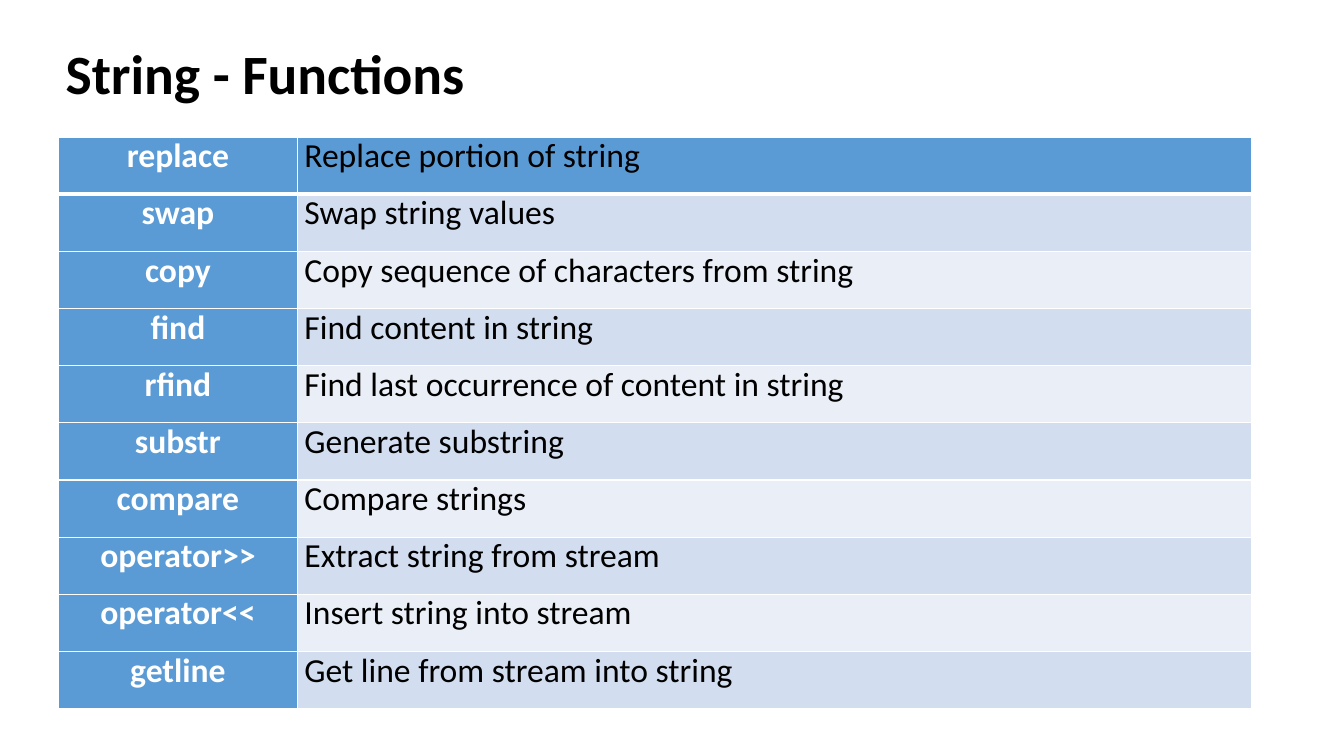
"""Build a slide with a table of string functions."""
from dataclasses import dataclass

from lxml.etree import SubElement
from pptx import Presentation
from pptx.dml.color import RGBColor
from pptx.enum.text import MSO_ANCHOR, PP_ALIGN
from pptx.oxml.ns import qn
from pptx.slide import Slide
from pptx.table import _Cell
from pptx.text.text import TextFrame
from pptx.util import Emu, Inches, Pt

WIDTH, HEIGHT = Inches(13.33), Inches(7.5)
FONT = "Calibri"
COLORS = {
    "text": "000000",
    "white": "FFFFFF",
    "accent": "5B9BD5",
    "odd": "D2DEEF",
    "even": "EAEFF7",
}


@dataclass(frozen=True)
class Function:
    name: str
    purpose: str


FUNCTIONS = [
    Function("replace", "Replace portion of string"),
    Function("swap", "Swap string values"),
    Function("copy", "Copy sequence of characters from string"),
    Function("find", "Find content in string"),
    Function("rfind", "Find last occurrence of content in string"),
    Function("substr", "Generate substring"),
    Function("compare", "Compare strings"),
    Function("operator>>", "Extract string from stream"),
    Function("operator<<", "Insert string into stream"),
    Function("getline", "Get line from stream into string"),
]


def across(percent: float) -> Emu:
    return Emu(round(WIDTH * percent / 100))


def down(percent: float) -> Emu:
    return Emu(round(HEIGHT * percent / 100))


def write(frame: TextFrame, text: str, *, size: float, color: str, bold: bool,
          align: PP_ALIGN, spacing: float | Pt) -> None:
    para = frame.paragraphs[0]
    para.alignment = align
    para.line_spacing = spacing
    span = para.add_run()
    span.text = text
    span.font.name = FONT
    span.font.size = Pt(size)
    span.font.bold = bold
    span.font.color.rgb = RGBColor.from_string(COLORS[color])


def add_border(cell: _Cell, side: str, points: float) -> None:
    properties = cell._tc.get_or_add_tcPr()
    line = SubElement(properties, qn(f"a:ln{side}"), w=str(Pt(points)))
    fill = SubElement(line, qn("a:solidFill"))
    SubElement(fill, qn("a:srgbClr"), val=COLORS["white"])


def format_cell(cell: _Cell, row: int, fill: str) -> None:
    cell.vertical_anchor = MSO_ANCHOR.MIDDLE
    cell.margin_left = cell.margin_right = Inches(0.07)
    cell.margin_top = cell.margin_bottom = 0
    borders = {"L": 1, "R": 1, "T": 3 if row == 1 else 1, "B": 3 if row == 0 else 1}
    for side, points in borders.items():
        add_border(cell, side, points)
    cell.fill.solid()
    cell.fill.fore_color.rgb = RGBColor.from_string(COLORS[fill])


def add_title(slide: Slide, text: str) -> None:
    title = slide.shapes.title
    title.left, title.top = across(4.13), down(5.33)
    title.width, title.height = across(88.97), down(9.47)
    title.text_frame.vertical_anchor = MSO_ANCHOR.MIDDLE
    title.text_frame.word_wrap = True
    write(title.text_frame, text, size=39.6, color="text", bold=True,
          align=PP_ALIGN.LEFT, spacing=0.9)


def add_functions(slide: Slide, functions: list[Function]) -> None:
    columns = [across(17.78), across(70.97)]
    row_height = down(7.56)
    table = slide.shapes.add_table(
        len(functions), len(columns), across(4.35), down(18.13),
        sum(columns), row_height * len(functions)).table
    for column, width in zip(table.columns, columns):
        column.width = width
    for row, function in enumerate(functions):
        table.rows[row].height = row_height
        band = "accent" if row == 0 else "odd" if row % 2 else "even"
        name, purpose = table.cell(row, 0), table.cell(row, 1)
        format_cell(name, row, "accent")
        format_cell(purpose, row, band)
        write(name.text_frame, function.name, size=24, color="white", bold=True,
              align=PP_ALIGN.CENTER, spacing=Pt(16.1))
        write(purpose.text_frame, function.purpose, size=24, color="text", bold=False,
              align=PP_ALIGN.LEFT, spacing=Pt(16.1))


def main() -> None:
    deck = Presentation()
    deck.slide_width, deck.slide_height = WIDTH, HEIGHT
    page = deck.slides.add_slide(deck.slide_layouts.get_by_name("Title Only"))
    add_title(page, "String - Functions")
    add_functions(page, FUNCTIONS)
    deck.save("out.pptx")


if __name__ == "__main__":
    main()
